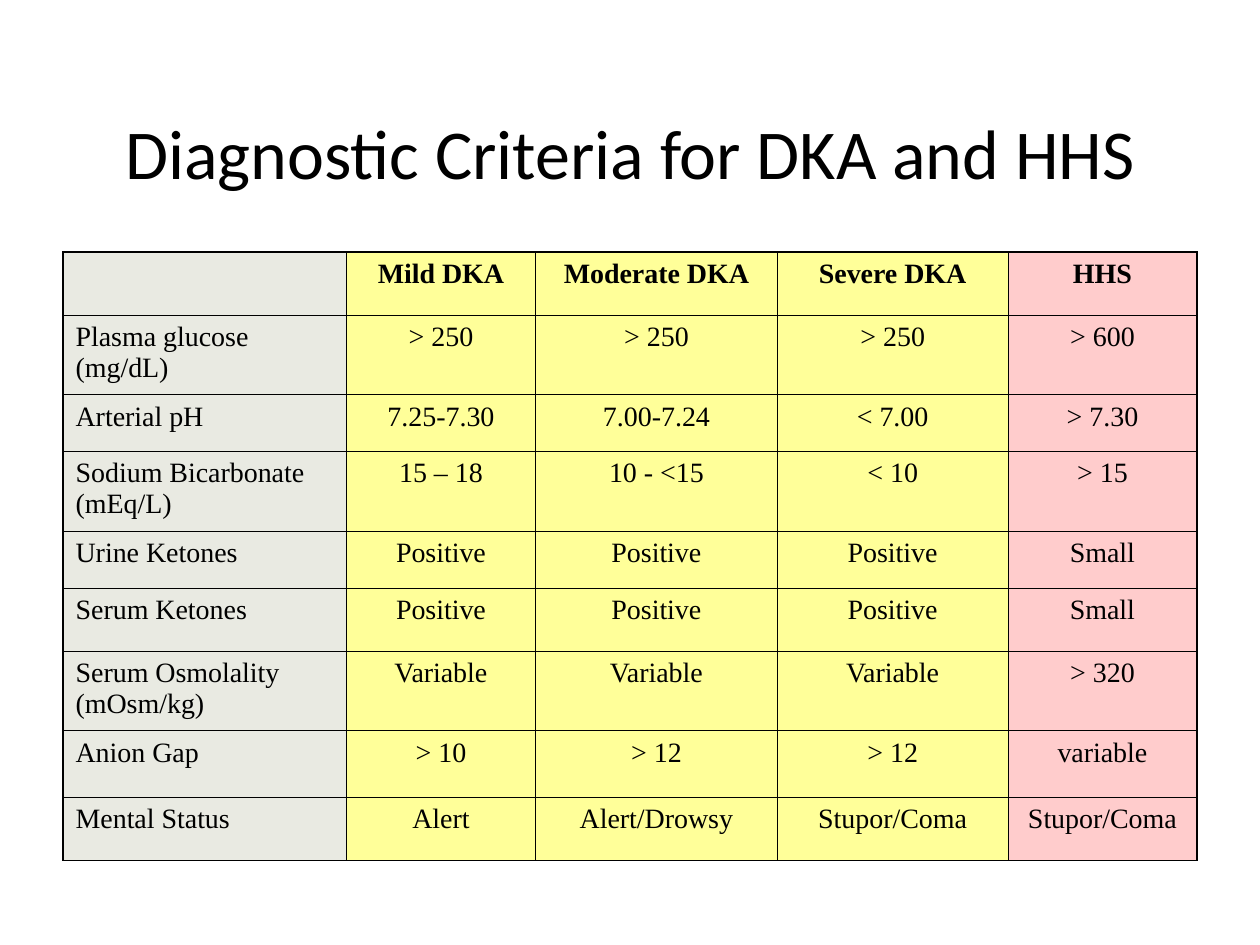
"""Build a slide with a table of diagnostic criteria for DKA and HHS."""
from lxml.etree import SubElement as Sub
from pptx import Presentation
from pptx.dml.color import RGBColor
from pptx.enum.text import MSO_ANCHOR as Anchor, PP_ALIGN as Align
from pptx.oxml.ns import qn
from pptx.util import Inches, Pt

BLACK = RGBColor(0x00, 0x00, 0x00)
GREY = RGBColor(0xE9, 0xEA, 0xE2)
YELLOW = RGBColor(0xFF, 0xFF, 0x99)
PINK = RGBColor(0xFF, 0xCC, 0xCC)

THIN, THICK = Pt(0.45), Pt(1.08)
FILLS = [GREY, YELLOW, YELLOW, YELLOW, PINK]
WIDTHS = [2.25, 1.5, 1.92, 1.83, 1.5]
HEIGHTS = [0.5, 0.63, 0.45, 0.63, 0.45, 0.5, 0.63, 0.53, 0.5]
ROWS = [
    ["", "Mild DKA", "Moderate DKA", "Severe DKA", "HHS"],
    ["Plasma glucose (mg/dL)", "> 250", "> 250", "> 250", "> 600"],
    ["Arterial pH", "7.25-7.30", "7.00-7.24", "< 7.00", "> 7.30"],
    ["Sodium Bicarbonate (mEq/L)", "15 – 18", "10 - <15", "< 10", "> 15"],
    ["Urine Ketones", "Positive", "Positive", "Positive", "Small"],
    ["Serum Ketones", "Positive", "Positive", "Positive", "Small"],
    ["Serum Osmolality (mOsm/kg)", "Variable", "Variable", "Variable", "> 320"],
    ["Anion Gap", "> 10", "> 12", "> 12", "variable"],
    ["Mental Status", "Alert", "Alert/Drowsy", "Stupor/Coma", "Stupor/Coma"],
]


def write(para, text, face, size, align, bold=False):
    """Put styled text in a paragraph."""
    para.text = text
    para.alignment = align
    font = para.font
    font.name, font.size, font.bold = face, Pt(size), bold
    font.color.rgb = BLACK


def add_title(slide, text):
    """Add the centred heading."""
    box = slide.shapes.add_textbox(Inches(0.5), Inches(0.58), Inches(9), Inches(1.25))
    frame = box.text_frame
    frame.word_wrap = True
    frame.vertical_anchor = Anchor.MIDDLE
    write(frame.paragraphs[0], text, "Calibri", 40, Align.CENTER)


def edge(cell, side, width):
    """Draw one border of a cell."""
    line = Sub(cell._tc.get_or_add_tcPr(), qn(f"a:ln{side}"), w=str(width))
    fill = Sub(line, qn("a:solidFill"))
    Sub(fill, qn("a:srgbClr"), val=str(BLACK))


def style(cell, row, col):
    """Border and fill a cell, with a thick line round the table."""
    outer = {
        "L": col == 0,
        "R": col == len(WIDTHS) - 1,
        "T": row == 0,
        "B": row == len(HEIGHTS) - 1,
    }
    for side, thick in outer.items():
        edge(cell, side, THICK if thick else THIN)
    cell.fill.solid()
    cell.fill.fore_color.rgb = FILLS[col]


def add_grid(slide):
    """Add the table of criteria."""
    grid = slide.shapes.add_table(
        len(ROWS), len(WIDTHS), Inches(0.5), Inches(2),
        Inches(sum(WIDTHS)), Inches(sum(HEIGHTS))).table
    for col, width in zip(grid.columns, WIDTHS):
        col.width = Inches(width)
    for row, height in zip(grid.rows, HEIGHTS):
        row.height = Inches(height)
    for r, texts in enumerate(ROWS):
        for c, text in enumerate(texts):
            cell = grid.cell(r, c)
            align = Align.CENTER if c else Align.LEFT
            write(cell.text_frame.paragraphs[0], text, "Times New Roman", 16,
                  align, bold=r == 0)
            style(cell, r, c)


def main():
    """Build and save the slide."""
    deck = Presentation()
    deck.slide_width, deck.slide_height = Inches(10), Inches(7.5)
    slide = deck.slides.add_slide(deck.slide_layouts[6])
    add_title(slide, "Diagnostic Criteria for DKA and HHS")
    add_grid(slide)
    deck.save("out.pptx")


if __name__ == "__main__":
    main()
